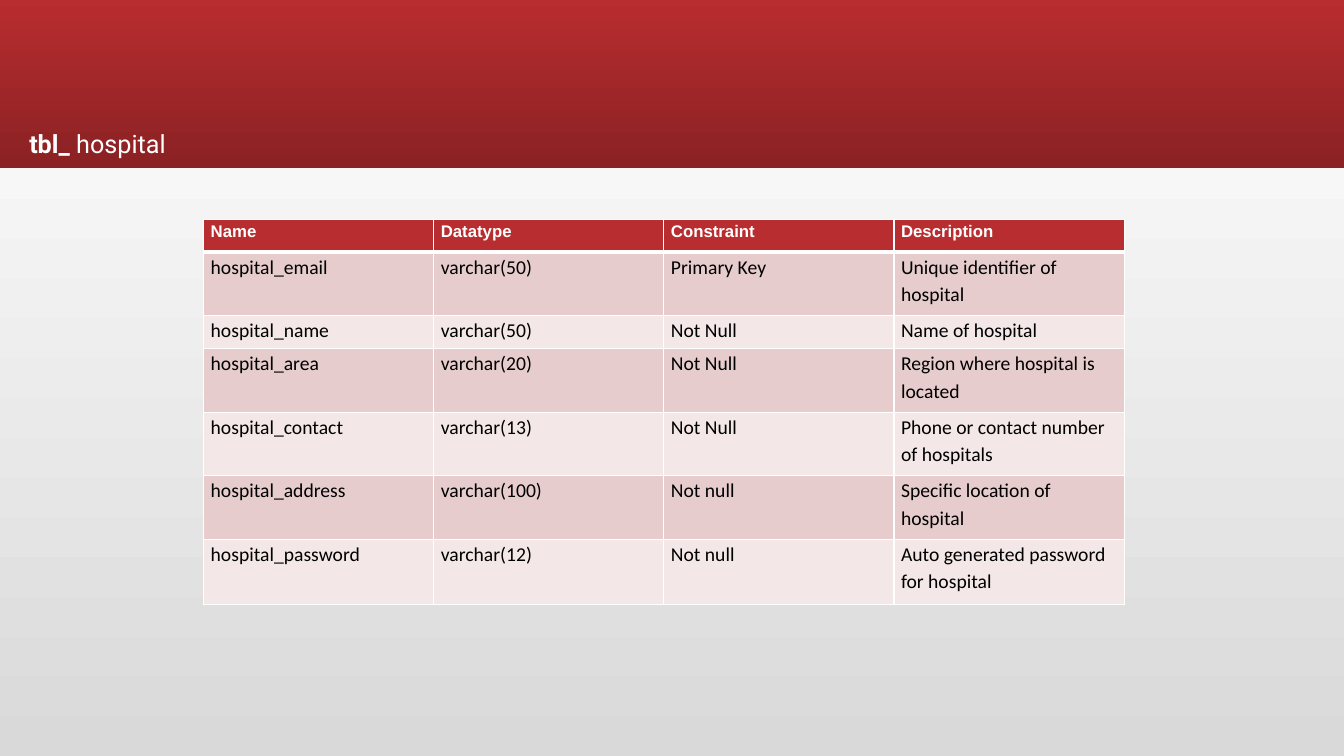
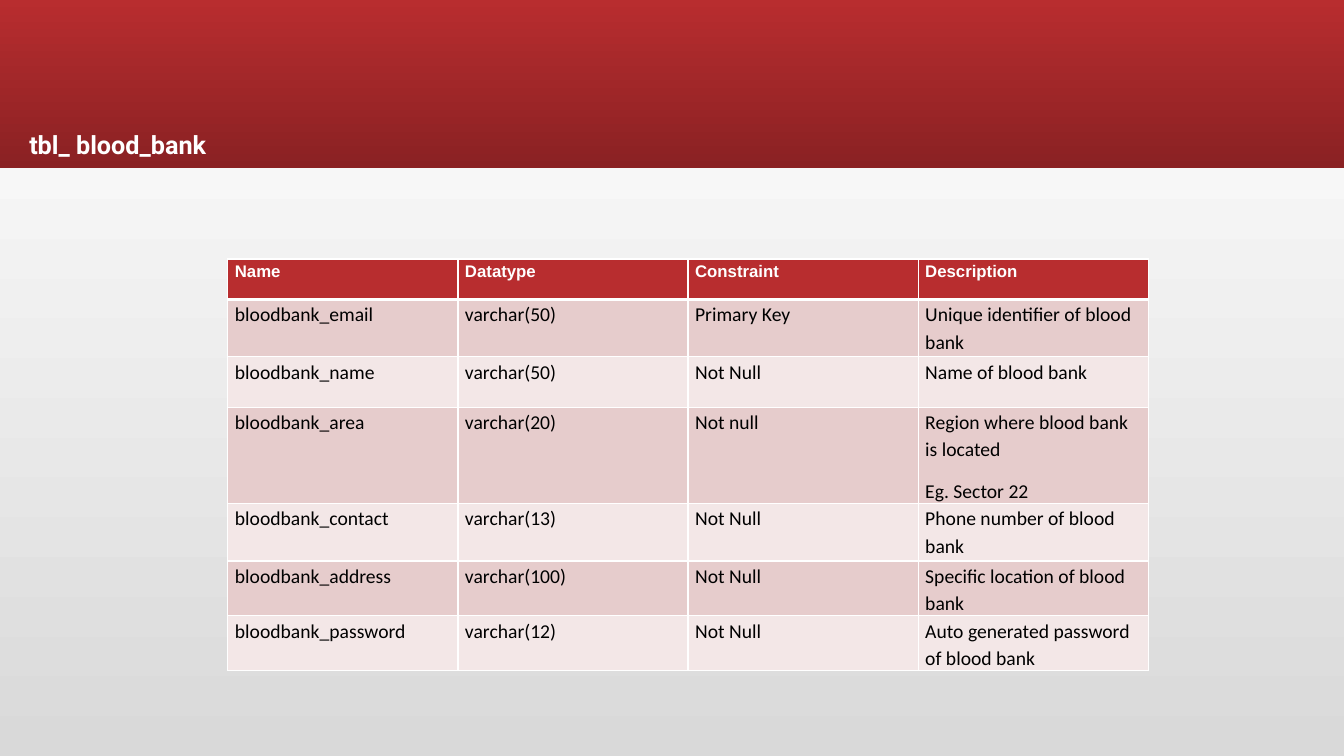
import dataclasses

import lxml.etree
import pptx
import pptx.dml.color
import pptx.enum.shapes
import pptx.enum.text
import pptx.oxml.ns
import pptx.util

Inches = pptx.util.Inches
Points = pptx.util.Pt

# Shared look
RED, DARK_RED, WHITE, BLACK, GREY = "B82D2F", "8A2123", "FFFFFF", "000000", "D9D9D9"
ROW_FILLS = ("E6CCCC", "F3E7E7")
SLIDE_WIDTH, SLIDE_HEIGHT = Inches(13.33), Inches(7.5)
BAND_HEIGHT = Inches(1.67)
TABLE_WIDTH = Inches(9.13)
UPWARD, DOWNWARD = 90, 270
THIN_LINE, THICK_LINE = Points(1), Points(3)
TITLE_BOX = {"left": Inches(0.19), "width": Inches(2.31), "height": Inches(0.4)}
TITLE_FRAME = {"vertical_anchor": pptx.enum.text.MSO_ANCHOR.TOP,
               "auto_size": pptx.enum.text.MSO_AUTO_SIZE.NONE, "word_wrap": True}
CELL_MARGINS = {"margin_left": Inches(0.07), "margin_right": Inches(0.07),
                "margin_top": 0, "margin_bottom": 0}
TITLE_FONT = {"name": "Roboto", "size": Points(18)}
HEADER_FONT = {"name": "Arial", "size": Points(12), "bold": True}
BODY_FONT = {"name": "Calibri", "size": Points(14), "bold": False}
HEADERS = ("Name", "Datatype", "Constraint", "Description")


@dataclasses.dataclass(frozen=True)
class Field:
    name: str
    datatype: str
    constraint: str
    description: str
    height: float


@dataclasses.dataclass(frozen=True)
class SchemaSlide:
    title_runs: tuple[tuple[str, bool], ...]
    title_top: float
    left: float
    top: float
    header_height: float
    fields: tuple[Field, ...]


SCHEMA_SLIDES = (
    SchemaSlide((("tbl_ ", True), ("hospital", False)), 1.22, 2.02, 2.18, 0.32, (
        Field("hospital_email", "varchar(50)", "Primary Key",
              "Unique identifier of hospital", 0.63),
        Field("hospital_name", "varchar(50)", "Not Null", "Name of hospital", 0.33),
        Field("hospital_area", "varchar(20)", "Not Null",
              "Region where hospital is located", 0.63),
        Field("hospital_contact", "varchar(13)", "Not Null",
              "Phone or contact number of hospitals", 0.63),
        Field("hospital_address", "varchar(100)", "Not null",
              "Specific location of hospital", 0.63),
        Field("hospital_password", "varchar(12)", "Not null",
              "Auto generated password for hospital", 0.65),
    )),
    SchemaSlide((("tbl_ blood_bank", True),), 1.23, 2.26, 2.57, 0.4, (
        Field("bloodbank_email", "varchar(50)", "Primary Key",
              "Unique identifier of blood bank", 0.57),
        Field("bloodbank_name", "varchar(50)", "Not Null", "Name of blood bank", 0.5),
        Field("bloodbank_area", "varchar(20)", "Not null",
              "Region where blood bank is located\nEg. Sector 22", 0.57),
        Field("bloodbank_contact", "varchar(13)", "Not Null",
              "Phone number of blood bank", 0.57),
        Field("bloodbank_address", "varchar(100)", "Not Null",
              "Specific location of blood bank", 0.5),
        Field("bloodbank_password", "varchar(12)", "Not Null",
              "Auto generated password of blood bank", 0.5),
    )),
)


def color(value: str) -> pptx.dml.color.RGBColor:
    return pptx.dml.color.RGBColor.from_string(value)


def apply_format(target, values: dict) -> None:
    for name, value in values.items():
        setattr(target, name, value)


def apply_font(font, values: dict, font_color: str) -> None:
    apply_format(font, values)
    font.color.rgb = color(font_color)


def apply_gradient(fill, start: str, end: str, angle: int) -> None:
    fill.gradient()
    fill.gradient_angle = angle
    for stop, value in zip(fill.gradient_stops, (start, end)):
        stop.color.rgb = color(value)


def add_band(slide) -> None:
    """Draw the title band behind everything else on the slide."""
    band = slide.shapes.add_shape(pptx.enum.shapes.MSO_SHAPE.RECTANGLE,
                                  0, 0, SLIDE_WIDTH, BAND_HEIGHT)
    band.shadow.inherit = False
    band.line.fill.background()
    apply_gradient(band.fill, RED, DARK_RED, DOWNWARD)
    slide.shapes.element.insert(2, band.element)


def add_title(slide, schema: SchemaSlide) -> None:
    title = slide.shapes.title
    apply_format(title, TITLE_BOX | {"top": Inches(schema.title_top)})
    apply_format(title.text_frame, TITLE_FRAME)
    paragraph = title.text_frame.paragraphs[0]
    paragraph.alignment = pptx.enum.text.PP_ALIGN.LEFT
    for text, bold in schema.title_runs:
        run = paragraph.add_run()
        run.text = text
        apply_font(run.font, TITLE_FONT | {"bold": bold}, WHITE)


def add_borders(cell, top: int, bottom: int) -> None:
    properties = cell._tc.get_or_add_tcPr()
    widths = {"a:lnL": THIN_LINE, "a:lnR": THIN_LINE, "a:lnT": top, "a:lnB": bottom}
    for tag, width in widths.items():
        line = lxml.etree.SubElement(properties, pptx.oxml.ns.qn(tag), w=str(width))
        fill = lxml.etree.SubElement(line, pptx.oxml.ns.qn("a:solidFill"))
        lxml.etree.SubElement(fill, pptx.oxml.ns.qn("a:srgbClr"), val=WHITE)


def format_cell(cell, text: str, row_index: int) -> None:
    is_header = row_index == 0
    add_borders(cell, THICK_LINE if row_index == 1 else THIN_LINE,
                THICK_LINE if is_header else THIN_LINE)
    cell.fill.solid()
    cell.fill.fore_color.rgb = color(RED if is_header else ROW_FILLS[(row_index - 1) % 2])
    apply_format(cell, CELL_MARGINS)
    cell.text_frame.text = text
    for index, paragraph in enumerate(cell.text_frame.paragraphs):
        paragraph.line_spacing = 1.15
        paragraph.space_before = Points(10 if index else 0)
        apply_font(paragraph.runs[0].font, HEADER_FONT if is_header else BODY_FONT,
                   WHITE if is_header else BLACK)


def add_schema_table(slide, schema: SchemaSlide) -> None:
    rows = [HEADERS] + [(field.name, field.datatype, field.constraint, field.description)
                        for field in schema.fields]
    heights = [schema.header_height] + [field.height for field in schema.fields]
    # The columns share the table width equally
    table = slide.shapes.add_table(
        len(rows), len(HEADERS), Inches(schema.left), Inches(schema.top),
        TABLE_WIDTH, Inches(sum(heights))).table
    for row_index, (texts, height) in enumerate(zip(rows, heights)):
        table.rows[row_index].height = Inches(height)
        for column_index, text in enumerate(texts):
            format_cell(table.cell(row_index, column_index), text, row_index)


def main() -> None:
    presentation = pptx.Presentation()
    presentation.slide_width, presentation.slide_height = SLIDE_WIDTH, SLIDE_HEIGHT
    title_only = presentation.slide_layouts.get_by_name("Title Only")
    apply_gradient(presentation.slide_master.background.fill, GREY, WHITE, UPWARD)

    # One slide per database table
    for schema in SCHEMA_SLIDES:
        slide = presentation.slides.add_slide(title_only)
        add_band(slide)
        add_title(slide, schema)
        add_schema_table(slide, schema)

    presentation.save("out.pptx")


if __name__ == "__main__":
    main()
